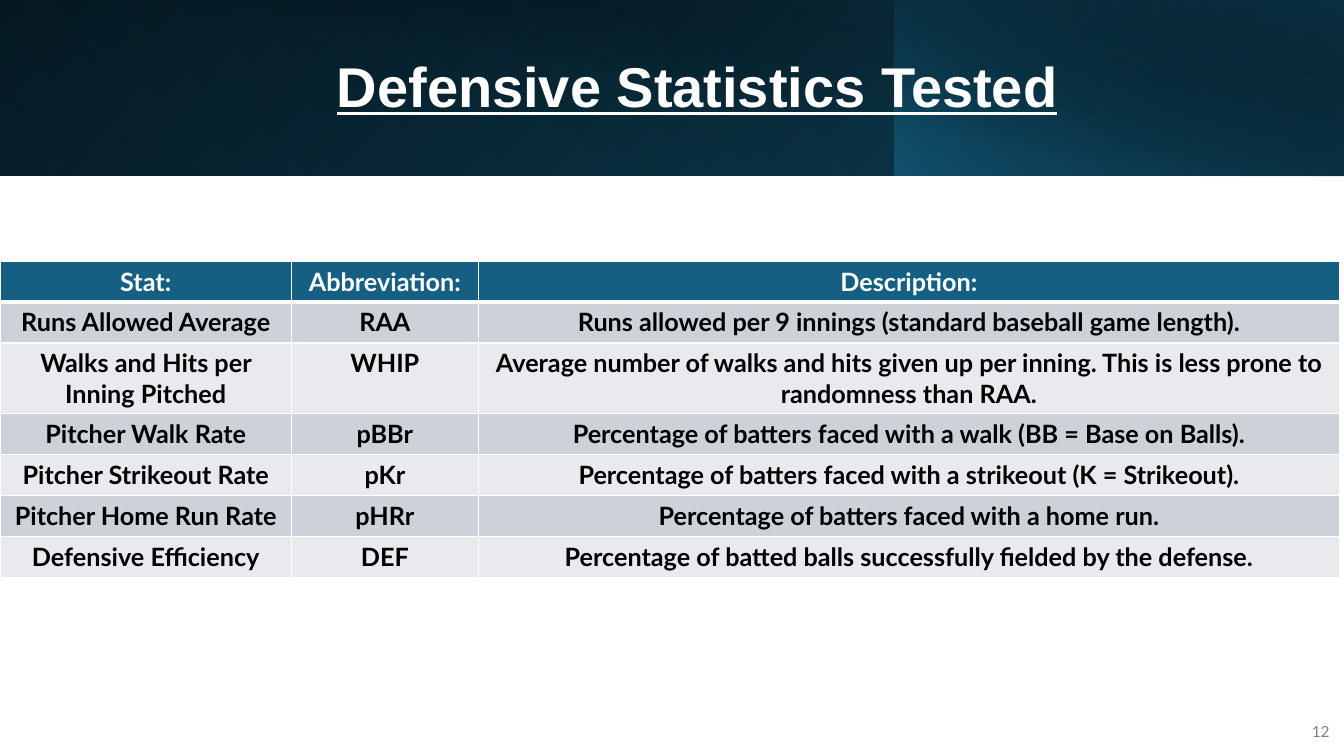
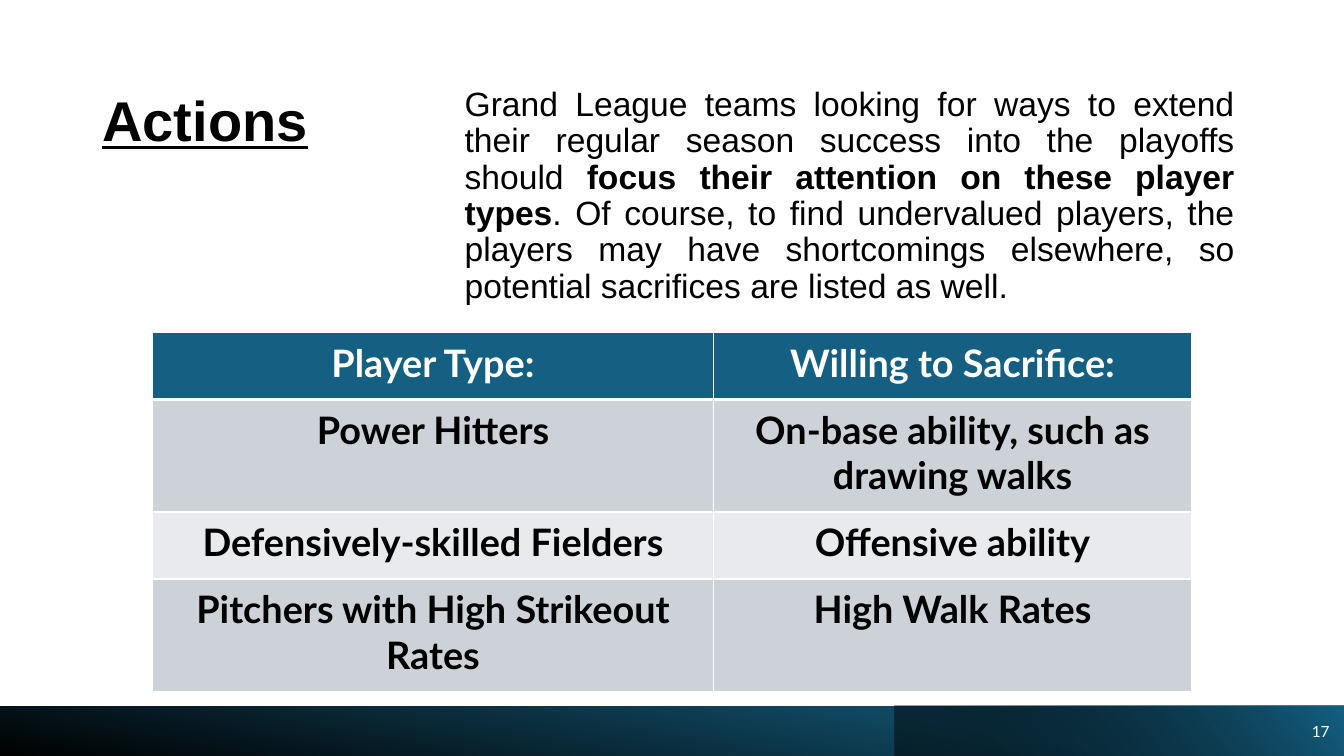
from dataclasses import dataclass

from lxml import etree
from pptx import Presentation
from pptx.dml.color import RGBColor
from pptx.enum.shapes import MSO_SHAPE
from pptx.enum.text import MSO_ANCHOR, MSO_AUTO_SIZE, PP_ALIGN
from pptx.oxml.ns import qn
from pptx.util import Pt

RECTANGLE = MSO_SHAPE.RECTANGLE
TOP, MIDDLE = MSO_ANCHOR.TOP, MSO_ANCHOR.MIDDLE
NO_AUTOFIT = MSO_AUTO_SIZE.NONE
LEFT, CENTER, RIGHT, JUSTIFY = PP_ALIGN.LEFT, PP_ALIGN.CENTER, PP_ALIGN.RIGHT, PP_ALIGN.JUSTIFY


@dataclass(frozen=True)
class Theme:
    white: str = "FFFFFF"
    black: str = "000000"
    gray: str = "808080"
    teal: str = "156082"
    deep_teal: str = "104862"
    night: str = "0B3041"
    row_dark: str = "CCD2D8"
    row_light: str = "E8EAED"
    heading_font: str = "Arial"
    table_font: str = "Lato"
    title_size: float = 40
    body_size: float = 24
    number_size: float = 11
    statistics_size: float = 18
    actions_size: float = 27


THEME = Theme()


def write(frame, text, font, size, color, bold=False, underline=False,
          align=LEFT, spacing=1.0, after=0, anchor=TOP):
    """Fill a text frame; parts between ** marks are bold."""
    frame.word_wrap = True
    frame.vertical_anchor = anchor
    paragraph = frame.paragraphs[0]
    paragraph.alignment = align
    paragraph.line_spacing = spacing
    paragraph.space_before = Pt(0)
    paragraph.space_after = Pt(after)
    for position, part in enumerate(text.split("**")):
        run = paragraph.add_run()
        run.text = part
        run.font.name = font
        run.font.size = Pt(size)
        run.font.bold = bold or position % 2 == 1
        run.font.underline = underline
        run.font.color.rgb = RGBColor.from_string(color)


def fill_gradient(shape, angle, stops):
    properties = shape._element.spPr
    gradient = etree.Element(qn("a:gradFill"), rotWithShape="1")
    stop_list = etree.SubElement(gradient, qn("a:gsLst"))
    for position, color, opacity in stops:
        stop = etree.SubElement(stop_list, qn("a:gs"), pos=str(position * 1000))
        tint = etree.SubElement(stop, qn("a:srgbClr"), val=color)
        etree.SubElement(tint, qn("a:alpha"), val=str(opacity * 1000))
    etree.SubElement(gradient, qn("a:lin"), ang=str(angle * 60000), scaled="0")
    properties.find(qn("a:prstGeom")).addnext(gradient)


PAGES = [
    {
        "layout": 5,
        "number": "12",
        "number_color": THEME.gray,
        "title": "Defensive Statistics Tested",
        "title_box": (108.3, 23, 779.3, 81.4),
        "title_format": {"color": THEME.white, "align": CENTER, "anchor": MIDDLE},
        "bands": [
            ((0, 0, 960, 125.3), 0, True, 140,
             [(0, THEME.black, 100), (100, THEME.deep_teal, 100)]),
            ((0, 0, 639.2, 125.3), 180, True, 230,
             [(20, THEME.teal, 0), (100, THEME.night, 55)]),
            ((639, 0, 321, 125.3), 0, True, 220,
             [(0, THEME.teal, 66), (100, THEME.black, 30)]),
            ((36, 0, 924, 126), 0, False, 280,
             [(50, THEME.black, 0), (99, THEME.night, 52)]),
        ],
        "table_origin": (0, 186.5),
        "columns": [208.2, 133.5, 615.2],
        "rows": [29.25, 29.25, 50.4, 29.25, 29.25, 29.25, 29.25],
        "cell_margins": (7.2, 3.6),
        "cell_size": THEME.statistics_size,
        "cells": [
            ("Stat:", "Abbreviation:", "Description:"),
            ("Runs Allowed Average", "RAA",
             "Runs allowed per 9 innings (standard baseball game length)."),
            ("Walks and Hits per Inning Pitched", "WHIP",
             "Average number of walks and hits given up per inning. "
             "This is less prone to randomness than RAA."),
            ("Pitcher Walk Rate", "pBBr",
             "Percentage of batters faced with a walk (BB = Base on Balls)."),
            ("Pitcher Strikeout Rate", "pKr",
             "Percentage of batters faced with a strikeout (K = Strikeout)."),
            ("Pitcher Home Run Rate", "pHRr",
             "Percentage of batters faced with a home run."),
            ("Defensive Efficiency", "DEF",
             "Percentage of batted balls successfully fielded by the defense."),
        ],
    },
    {
        "layout": 1,
        "number": "17",
        "number_color": THEME.white,
        "title": "Actions",
        "title_box": (66, 63, 290, 162),
        "title_format": {"color": THEME.black},
        "body": "Grand League teams looking for ways to extend their regular season "
                "success into the playoffs should **focus their attention on these "
                "player types**. Of course, to find undervalued players, the players "
                "may have shortcomings elsewhere, so potential sacrifices are listed "
                "as well.",
        "body_box": (324.7, 59, 564.3, 165.6),
        "bands": [
            ((0, 504.6, 960, 36.7), 0, True, 260,
             [(0, THEME.black, 100), (70, THEME.deep_teal, 100)]),
            ((639, 504.4, 321, 36.9), 0, True, 220,
             [(19, THEME.black, 46), (99, THEME.teal, 100)]),
        ],
        "table_origin": (109, 237.4),
        "columns": [400.6, 341.6],
        "rows": [47.9, 80.5, 47.9, 80.5],
        "cell_margins": (10.8, 5.4),
        "cell_size": THEME.actions_size,
        "cells": [
            ("Player Type:", "Willing to Sacrifice:"),
            ("Power Hitters", "On-base ability, such as drawing walks"),
            ("Defensively-skilled Fielders", "Offensive ability"),
            ("Pitchers with High Strikeout Rates", "High Walk Rates"),
        ],
    },
]

deck = Presentation()
deck.slide_width, deck.slide_height = Pt(960), Pt(540)

for page in PAGES:
    slide = deck.slides.add_slide(deck.slide_layouts[page["layout"]])
    shapes = slide.shapes

    for depth, (box, rotation, mirrored, angle, stops) in enumerate(page["bands"]):
        band = shapes.add_shape(RECTANGLE, *map(Pt, box))
        band.shadow.inherit = False
        band.line.fill.background()
        band.rotation = rotation
        if mirrored:
            band._element.spPr.xfrm.set("flipH", "1")
        fill_gradient(band, angle, stops)
        shapes._spTree.insert(2 + depth, band._element)

    title = shapes.title
    title.left, title.top, title.width, title.height = map(Pt, page["title_box"])
    title.text_frame.auto_size = NO_AUTOFIT
    write(title.text_frame, page["title"], THEME.heading_font, THEME.title_size,
          bold=True, underline=True, spacing=0.9, **page["title_format"])

    if "body" in page:
        body = slide.placeholders[1]
        body.left, body.top, body.width, body.height = map(Pt, page["body_box"])
        body.text_frame.auto_size = NO_AUTOFIT
        indents = body.text_frame.paragraphs[0]._p.get_or_add_pPr()
        indents.set("marL", "0")
        indents.set("indent", "0")
        etree.SubElement(indents, qn("a:buNone"))
        write(body.text_frame, page["body"], THEME.heading_font, THEME.body_size,
              THEME.black, align=JUSTIFY, spacing=0.9)

    page_number = shapes.add_textbox(Pt(921.6), Pt(508.3), Pt(35.3), Pt(28.8))
    write(page_number.text_frame, page["number"], THEME.table_font, THEME.number_size,
          page["number_color"], align=RIGHT, after=6, anchor=MIDDLE)

    columns, rows = page["columns"], page["rows"]
    extent = (*page["table_origin"], sum(columns), sum(rows))
    table = shapes.add_table(len(rows), len(columns), *map(Pt, extent)).table
    table.horz_banding = False
    for column, width in zip(table.columns, columns):
        column.width = Pt(width)
    for row, height in zip(table.rows, rows):
        row.height = Pt(height)

    side_margin, edge_margin = page["cell_margins"]
    for row_index, entries in enumerate(page["cells"]):
        header = row_index == 0
        banding = THEME.row_dark if row_index % 2 else THEME.row_light
        for column_index, entry in enumerate(entries):
            cell = table.cell(row_index, column_index)
            cell.margin_left = cell.margin_right = Pt(side_margin)
            cell.margin_top = cell.margin_bottom = Pt(edge_margin)
            cell_properties = cell._tc.get_or_add_tcPr()
            for side in ("lnL", "lnR", "lnT", "lnB"):
                heavy = (header and side == "lnB") or (row_index == 1 and side == "lnT")
                border = etree.SubElement(cell_properties, qn(f"a:{side}"),
                                          w=str(Pt(3 if heavy else 1)))
                border_fill = etree.SubElement(border, qn("a:solidFill"))
                etree.SubElement(border_fill, qn("a:srgbClr"), val=THEME.white)
            cell.fill.solid()
            cell.fill.fore_color.rgb = RGBColor.from_string(THEME.teal if header else banding)
            write(cell.text_frame, entry, THEME.table_font, page["cell_size"],
                  THEME.white if header else THEME.black, bold=True, align=CENTER)

deck.save("out.pptx")
